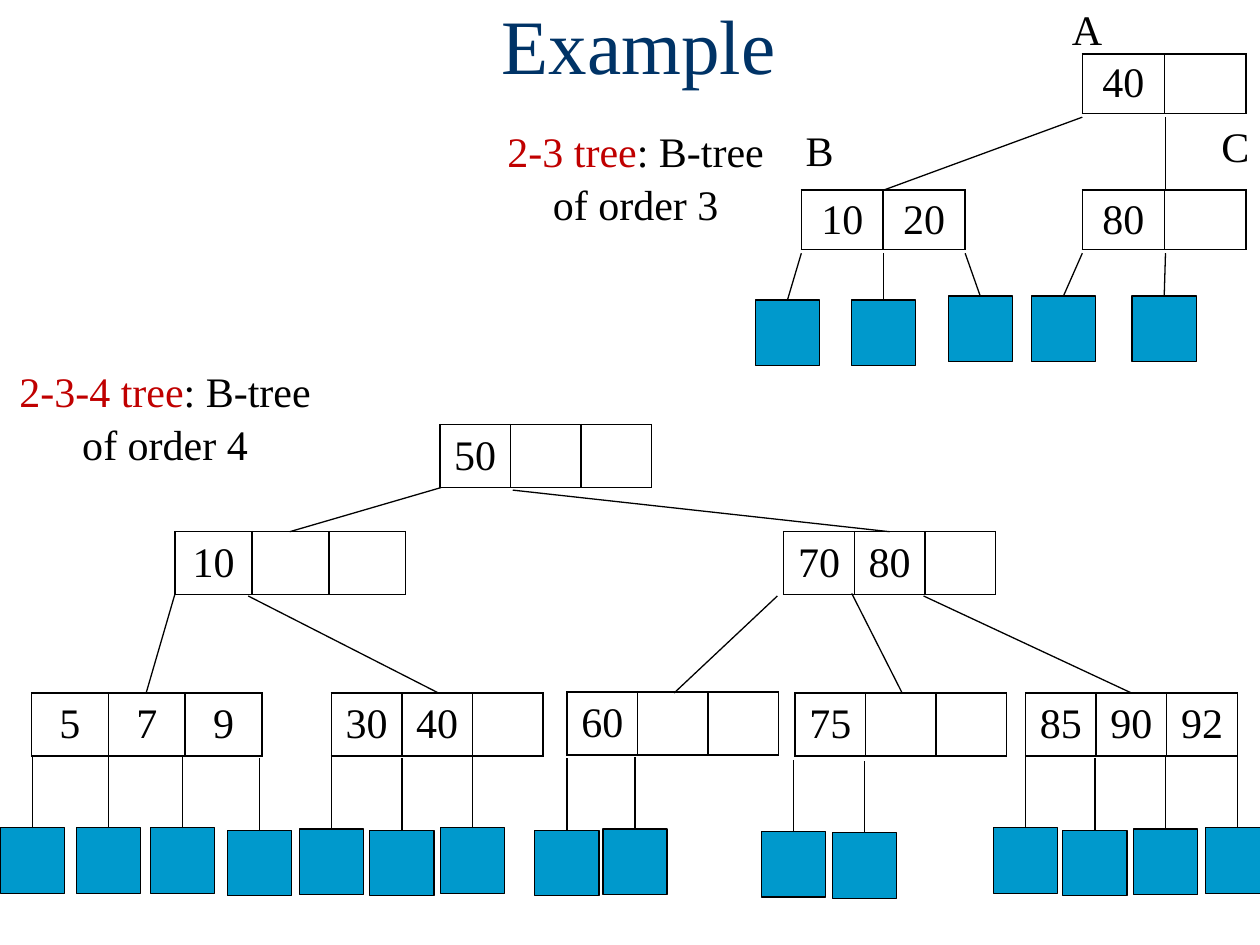
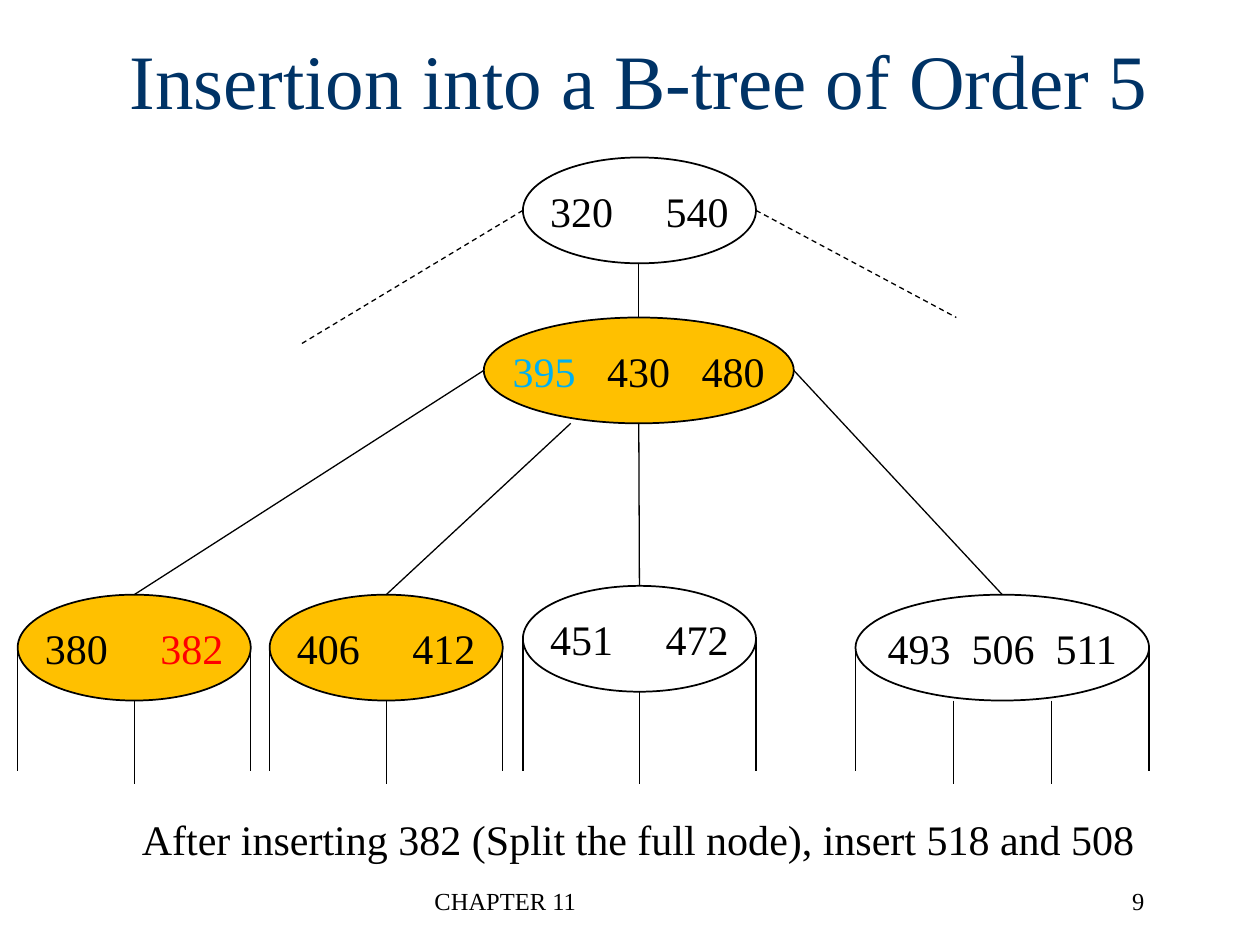
from dataclasses import dataclass

from lxml import etree
from pptx import Presentation
from pptx.dml.color import RGBColor
from pptx.enum import dml, shapes, text
from pptx.oxml import ns
from pptx.util import Inches, Pt


@dataclass(frozen=True)
class Theme:
    """Colours, font and sizes that both slides share."""
    font: str = "Times New Roman"
    title: str = "003366"
    ink: str = "000000"
    paper: str = "FFFFFF"
    leaf: str = "0099CC"
    term: str = "C00000"
    changed: str = "FFC000"
    promoted: str = "00B0F0"
    inserted: str = "FF0000"
    title_size: int = 44
    body_size: int = 24
    footer_size: int = 14
    edge: float = 0.75
    outline: float = 1


T = Theme()
CENTER, LEFT, RIGHT = (text.PP_ALIGN.CENTER, text.PP_ALIGN.LEFT,
                       text.PP_ALIGN.RIGHT)
MIDDLE, TOP = text.MSO_ANCHOR.MIDDLE, text.MSO_ANCHOR.TOP
LEAF_W, LEAF_H = 0.51, 0.52
OVAL_H = 0.84


def rgb(value):
    """Turn a hex string into a colour."""
    return RGBColor.from_string(value)


def style(p, size=T.body_size, align=CENTER):
    """Set the font and alignment of a whole paragraph."""
    p.font.name, p.font.size = T.font, Pt(size)
    p.alignment = align


def add_run(p, words, color=T.ink):
    """Add a coloured run to a paragraph."""
    r = p.add_run()
    r.text = words
    r.font.color.rgb = rgb(color)
    return r


def add_text(s, box, lines, size=T.body_size, align=CENTER, anchor=TOP,
             wrap=False, spacing=None):
    """Add a text box; each line is a list of (words, colour) runs."""
    tf = s.shapes.add_textbox(*map(Inches, box)).text_frame
    tf.word_wrap, tf.vertical_anchor = wrap, anchor
    for i, line in enumerate(lines):
        p = tf.paragraphs[0] if i == 0 else tf.add_paragraph()
        style(p, size, align)
        if spacing:
            p.line_spacing = spacing
        for words, color in line:
            add_run(p, words, color)


def add_title(s, top, words):
    """Add the slide title."""
    add_text(s, (0.64, top, 8.86, 1.25), [[(words, T.title)]],
             T.title_size, anchor=MIDDLE, wrap=True)


def add_footer(s, words, number):
    """Add the chapter name and the slide number."""
    add_text(s, (3.35, 6.98, 3.17, 0.5), [[(words, T.ink)]],
             T.footer_size, LEFT, wrap=True)
    add_text(s, (7.1, 6.98, 2.08, 0.5), [[(number, T.ink)]],
             T.footer_size, RIGHT, wrap=True)


def add_edge(s, x0, y0, x1, y1, dashed=False):
    """Add a thin straight line between two points."""
    c = s.shapes.add_connector(shapes.MSO_CONNECTOR.STRAIGHT,
                               *map(Inches, (x0, y0, x1, y1)))
    c.line.color.rgb, c.line.width = rgb(T.ink), Pt(T.edge)
    if dashed:
        c.line.dash_style = dml.MSO_LINE.DASH
    etree.SubElement(c._element.spPr, ns.qn("a:effectLst"))


def add_outlined(s, kind, box, fill, width):
    """Add a filled preset shape with a black outline."""
    sp = s.shapes.add_shape(kind, *map(Inches, box))
    sp.shadow.inherit = False
    sp.fill.solid()
    sp.fill.fore_color.rgb = rgb(fill)
    sp.line.color.rgb, sp.line.width = rgb(T.ink), Pt(width)
    return sp


def add_leaf(s, x0, y0, x1, y1):
    """Add an edge and the leaf square that hangs from its end."""
    add_outlined(s, shapes.MSO_SHAPE.RECTANGLE,
                 (x1 - LEAF_W / 2, y1, LEAF_W, LEAF_H), T.leaf, T.edge)
    add_edge(s, x0, y0, x1, y1)


def add_borders(cell):
    """Draw a black line on all four sides of a cell."""
    tcPr = cell._tc.get_or_add_tcPr()
    for i, side in enumerate(("lnL", "lnR", "lnT", "lnB")):
        ln = etree.Element(ns.qn("a:" + side), w=str(Pt(T.outline)))
        fill = etree.SubElement(ln, ns.qn("a:solidFill"))
        etree.SubElement(fill, ns.qn("a:srgbClr"), val=T.ink)
        tcPr.insert(i, ln)


def add_table_node(s, x, y, col_w, height, keys):
    """Add a tree node as a one-row table; an empty key is a free slot."""
    table = s.shapes.add_table(1, len(keys), Inches(x), Inches(y),
                               Inches(col_w * len(keys)),
                               Inches(height)).table
    table.first_row = table.horz_banding = False
    for i, key in enumerate(keys):
        table.columns[i].width = Inches(col_w)
        cell = table.cell(0, i)
        cell.fill.solid()
        cell.fill.fore_color.rgb = rgb(T.paper)
        cell.margin_top = cell.margin_bottom = Inches(0.03)
        cell.vertical_anchor = MIDDLE
        p = cell.text_frame.paragraphs[0]
        style(p)
        if key:
            add_run(p, key)
        add_borders(cell)


def add_oval_node(s, x, y, w, keys, gap, fill=T.paper):
    """Add an oval node of (key, colour) pairs, spread by gap points."""
    sp = add_outlined(s, shapes.MSO_SHAPE.OVAL, (x, y, w, OVAL_H), fill,
                      T.outline)
    tf = sp.text_frame
    tf.word_wrap, tf.vertical_anchor = False, MIDDLE
    p = tf.paragraphs[0]
    style(p)
    for i, (key, color) in enumerate(keys):
        if i:
            space = add_run(p, " ")
            space._r.get_or_add_rPr().set("spc", str(gap * 100))
        add_run(p, key, color)


def add_stubs(s, x, y, w, children):
    """Hang evenly spaced child lines from an oval node."""
    for i in range(children):
        stub_x = x + w * i / (children - 1)
        if i in (0, children - 1):
            add_edge(s, stub_x, y + OVAL_H / 2, stub_x, 6.12)
        else:
            add_edge(s, stub_x, y + OVAL_H, stub_x, 6.22)


def draw_order_3_tree(s):
    """Draw the 2-3 tree with its node names."""
    for x, y, keys in ((8.59, 0.43, ("40", "")), (6.36, 1.51, ("10", "20")),
                       (8.59, 1.51, ("80", ""))):
        add_table_node(s, x, y, 0.65, 0.47, keys)
    add_edge(s, 8.59, 0.93, 7.01, 1.51)
    add_edge(s, 9.25, 0.93, 9.25, 1.51)
    for name, x, y in (("A", 8.41, -0.02), ("B", 6.29, 0.94),
                       ("C", 9.59, 0.91)):
        add_text(s, (x, y, 0.43, 0.5), [[(name, T.ink)]])
    for x0, x1, y1 in ((6.36, 6.25, 2.38), (7.01, 7.01, 2.38),
                       (7.66, 7.78, 2.35), (8.59, 8.44, 2.35),
                       (9.25, 9.24, 2.35)):
        add_leaf(s, x0, 2.01, x1, y1)


def draw_order_4_tree(s):
    """Draw the 2-3-4 tree."""
    nodes = (
        (3.49, 3.37, 0.56, ("50", "", "")),
        (1.39, 4.22, 0.61, ("10", "", "")),
        (6.22, 4.22, 0.56, ("70", "80", "")),
        (0.25, 5.5, 0.61, ("5", "7", "9")),
        (2.63, 5.5, 0.56, ("30", "40", "")),
        (4.5, 5.49, 0.56, ("60", "", "")),
        (6.31, 5.5, 0.56, ("75", "", "")),
        (8.14, 5.5, 0.56, ("85", "90", "92")),
    )
    for x, y, col_w, keys in nodes:
        add_table_node(s, x, y, col_w, 0.5, keys)
    edges = (
        (3.5, 3.87, 2.3, 4.22), (4.07, 3.89, 7.06, 4.22),
        (1.39, 4.71, 1.16, 5.5), (1.97, 4.73, 3.48, 5.5),
        (6.17, 4.73, 5.35, 5.5), (6.76, 4.71, 7.16, 5.5),
        (7.33, 4.73, 8.98, 5.5),
    )
    for edge in edges:
        add_edge(s, *edge)
    leaves = (
        (0.26, 6), (0.86, 6), (1.45, 6), (2.06, 6.02),
        (2.63, 6.01), (3.19, 6.02), (3.75, 6), (4.5, 6.02), (5.04, 6.01),
        (6.3, 6.03), (6.86, 6.04),
        (8.14, 6), (8.69, 6.02), (9.25, 6.01), (9.82, 6),
    )
    for x, y in leaves:
        add_leaf(s, x, y, x, y + 0.57)


def build_example(s):
    """Fill the slide with the two example trees."""
    add_title(s, -0.28, "Example")
    for box, name, order in (((3.92, 0.93, 2.25, 0.91), "2-3 tree", 3),
                             ((0.04, 2.83, 2.54, 0.91), "2-3-4 tree", 4)):
        add_text(s, box, [[(name, T.term), (": B-tree", T.ink)],
                          [(f"of order {order}", T.ink)]], spacing=1.05)
    draw_order_3_tree(s)
    draw_order_4_tree(s)


def build_insertion(s):
    """Fill the slide with the tree after the insertion."""
    add_title(s, 0, "Insertion into a B-tree of Order 5")
    add_footer(s, "CHAPTER 11", "9")
    add_oval_node(s, 4.15, 1.25, 1.85, [("320", T.ink), ("540", T.ink)], 24)
    add_oval_node(s, 3.84, 2.52, 2.46, [("395", T.promoted), ("430", T.ink),
                                        ("480", T.ink)], 12, T.changed)
    children = (
        (0.14, 4.72, 1.85, [("380", T.ink), ("382", T.inserted)], 24,
         T.changed),
        (2.14, 4.72, 1.85, [("406", T.ink), ("412", T.ink)], 24, T.changed),
        (4.15, 4.65, 1.85, [("451", T.ink), ("472", T.ink)], 24, T.paper),
        (6.79, 4.72, 2.33, [("493", T.ink), ("506", T.ink), ("511", T.ink)],
         6, T.paper),
    )
    parent_ends = ((3.84, 2.94), (4.53, 3.36), (5.07, 3.36), (6.3, 2.94))
    for (x, y, w, keys, gap, fill), start in zip(children, parent_ends):
        add_oval_node(s, x, y, w, keys, gap, fill)
        add_stubs(s, x, y, w, len(keys) + 1)
        add_edge(s, *start, x + w / 2, y)
    add_edge(s, 5.07, 2.09, 5.07, 2.52)
    add_edge(s, 4.15, 1.67, 2.39, 2.73, dashed=True)
    add_edge(s, 6, 1.67, 7.59, 2.52, dashed=True)
    caption = "After inserting 382 (Split the full node), insert 518 and 508"
    add_text(s, (0.99, 6.41, 8.15, 0.5), [[(caption, T.ink)]])


def main():
    """Build both slides and save the file."""
    prs = Presentation()
    prs.slide_width, prs.slide_height = Inches(10), Inches(7.5)
    for build in (build_example, build_insertion):
        build(prs.slides.add_slide(prs.slide_layouts[6]))
    prs.save("out.pptx")


main()
